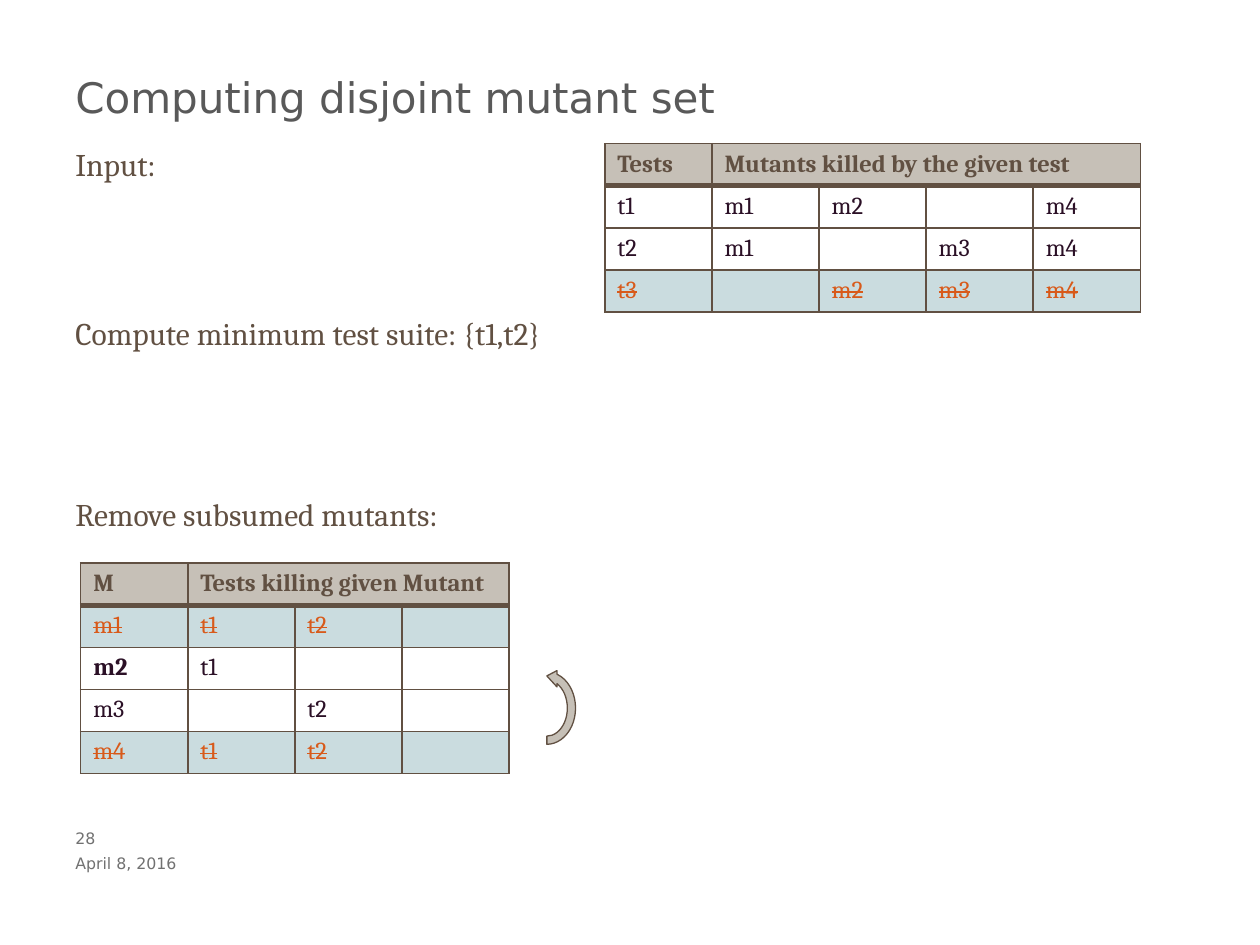
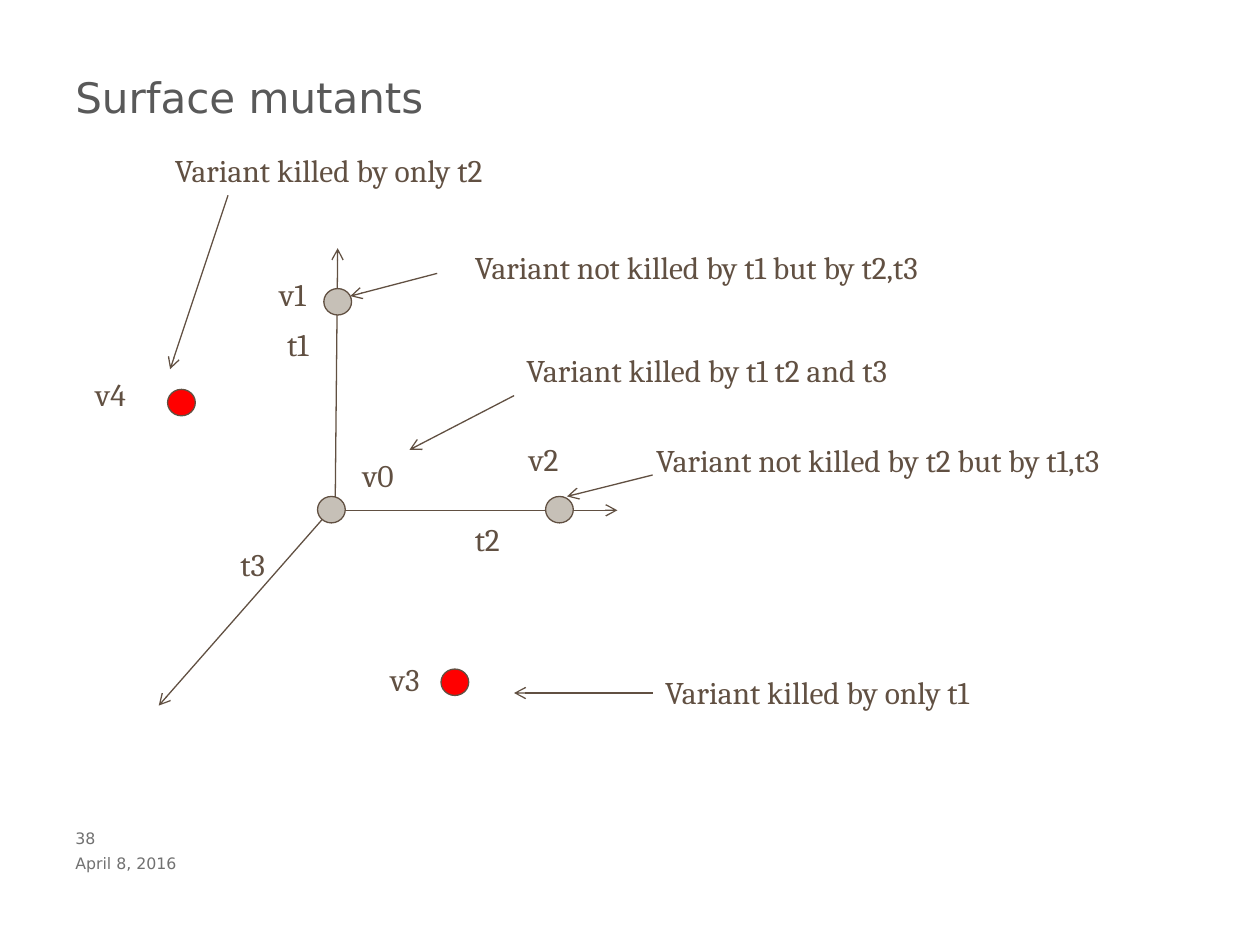
from typing import NamedTuple

from lxml.etree import SubElement
from pptx import Presentation
from pptx.dml.color import RGBColor
from pptx.enum.shapes import MSO_CONNECTOR, MSO_SHAPE
from pptx.enum.text import MSO_ANCHOR
from pptx.oxml.ns import qn
from pptx.util import Inches, Pt

SLIDE_WIDTH, SLIDE_HEIGHT = Inches(10), Inches(7.5)
GRID_COLUMNS, GRID_ROWS = 100, 75
LEFT_MARGIN = 5

BROWN, STONE, WHITE, RED = "615042", "C6C0B7", "FFFFFF", "FF0000"
TITLE_GRAY, FOOTER_GRAY = "595959", "717171"
CELL_TEXT, REMOVED_TEXT, REMOVED_FILL = "2B1026", "D85A1A", "CADCDF"
BODY_FONT, TITLE_FONT = "Cambria", "DejaVu Sans"

CELL_WIDTH, CELL_HEIGHT = 8.5, 10 / 3
DOT_WIDTH, DOT_HEIGHT = 2.2, 2.1


class TextStyle(NamedTuple):
    size: float
    font: str
    color: str
    bold: bool = False
    struck: bool = False


class Label(NamedTuple):
    text: str
    left: float
    top: float


class Dot(NamedTuple):
    left: float
    top: float
    fill: str = STONE


class Arrow(NamedTuple):
    start: tuple[float, float]
    end: tuple[float, float]


class KillRow(NamedTuple):
    cells: tuple[str, ...]
    removed: bool = False
    bold_first: bool = False


class KillTable(NamedTuple):
    left: float
    top: float
    columns: int
    header: tuple[str, str]
    rows: list[KillRow]


TITLE = TextStyle(24, TITLE_FONT, TITLE_GRAY)
FOOTER = TextStyle(9, TITLE_FONT, FOOTER_GRAY)
BODY = TextStyle(18, BODY_FONT, BROWN)
HEADER_CELL = TextStyle(14, BODY_FONT, BROWN, bold=True)
PLAIN_CELL = TextStyle(14, BODY_FONT, CELL_TEXT)
REMOVED_CELL = TextStyle(14, BODY_FONT, REMOVED_TEXT, struck=True)

STEPS = [
    Label("Input:", LEFT_MARGIN, 11),
    Label("Compute minimum test suite: {t1,t2}", LEFT_MARGIN, 24.4),
    Label("Remove subsumed mutants:", LEFT_MARGIN, 38.8),
]

MUTANTS_BY_TEST = KillTable(48, 11.4, 5, ("Tests", "Mutants killed by the given test"), [
    KillRow(("t1", "m1", "m2", "", "m4")),
    KillRow(("t2", "m1", "", "m3", "m4")),
    KillRow(("t3", "", "m2", "m3", "m4"), removed=True),
])

TESTS_BY_MUTANT = KillTable(6.4, 44.7, 4, ("M", "Tests killing given Mutant"), [
    KillRow(("m1", "t1", "t2", ""), removed=True),
    KillRow(("m2", "t1", "", ""), bold_first=True),
    KillRow(("m3", "", "t2", "")),
    KillRow(("m4", "t1", "t2", ""), removed=True),
])

TEST_AXES = [
    Arrow((26.6, 40.5), (26.8, 19.7)),
    Arrow((26.8, 40.5), (49, 40.5)),
    Arrow((25.6, 41.2), (12.6, 56)),
]
POINTERS = [
    Arrow((40.8, 31.4), (32.5, 35.7)),
    Arrow((34.7, 21.7), (27.8, 23.5)),
    Arrow((51.8, 37.7), (45, 39.4)),
    Arrow((51.8, 55), (40.8, 55)),
    Arrow((18.1, 15.5), (13.5, 29.3)),
]
VARIANT_DOTS = [
    Dot(25.2, 39.4),
    Dot(25.7, 22.9),
    Dot(43.3, 39.4),
    Dot(35, 53.1, RED),
    Dot(13.3, 30.9, RED),
]
SPACE_LABELS = [
    Label("t1", 21.8, 25.3),
    Label("t2", 36.7, 40.8),
    Label("t3", 18.1, 42.8),
    Label("v0", 27.8, 35.7),
    Label("v1", 21.2, 21.3),
    Label("v2", 41, 34.4),
    Label("v3", 30, 51.9),
    Label("v4", 6.6, 29.3),
    Label("Variant killed by t1 t2 and t3", 40.8, 27.4),
    Label("Variant not killed by t1 but by t2,t3", 36.7, 19.2),
    Label("Variant not killed by t2 but by t1,t3", 51.1, 34.5),
    Label("Variant killed by only t1", 51.8, 52.9),
    Label("Variant killed by only t2", 12.9, 11.5),
]


def across(columns: float) -> int:
    return round(SLIDE_WIDTH * columns / GRID_COLUMNS)


def down(rows: float) -> int:
    return round(SLIDE_HEIGHT * rows / GRID_ROWS)


def rgb(color: str) -> RGBColor:
    return RGBColor.from_string(color)


def write(paragraph, text: str, style: TextStyle) -> None:
    if not text:
        # An empty cell keeps the row height of its text size.
        SubElement(paragraph._p, qn("a:endParaRPr"), sz=str(style.size * 100))
        return
    run = paragraph.add_run()
    run.text = text
    run.font.size = Pt(style.size)
    run.font.name = style.font
    run.font.bold = style.bold
    run.font.color.rgb = rgb(style.color)
    if style.struck:
        run.font._element.set("strike", "sngStrike")


def add_text(slide, label: Label, width: float, height: float, style: TextStyle):
    box = slide.shapes.add_textbox(across(label.left), down(label.top), across(width), down(height))
    frame = box.text_frame
    frame.word_wrap = True
    write(frame.paragraphs[0], label.text, style)
    return frame


def add_labels(slide, labels: list[Label]) -> None:
    for label in labels:
        add_text(slide, label, 6 if len(label.text) == 2 else 45, 4, BODY)


def add_preset(slide, preset, left: float, top: float, width: float, height: float, fill: str):
    shape = slide.shapes.add_shape(preset, across(left), down(top), across(width), down(height))
    shape.shadow.inherit = False
    shape.fill.solid()
    shape.fill.fore_color.rgb = rgb(fill)
    shape.line.color.rgb = rgb(BROWN)
    shape.line.width = Pt(0.75)
    return shape


def add_arrow(slide, arrow: Arrow) -> None:
    (start_x, start_y), (end_x, end_y) = arrow
    connector = slide.shapes.add_connector(
        MSO_CONNECTOR.STRAIGHT, across(start_x), down(start_y), across(end_x), down(end_y))
    connector.line.color.rgb = rgb(BROWN)
    connector.line.width = Pt(0.75)
    SubElement(connector.line._ln, qn("a:tailEnd"), type="arrow")
    SubElement(connector._element.spPr, qn("a:effectLst"))


def style_cell(cell, fill: str, top_width: float, bottom_width: float) -> None:
    """Border the cell in brown, then fill it."""
    properties = cell._tc.get_or_add_tcPr()
    for side, width in (("L", 1), ("R", 1), ("T", top_width), ("B", bottom_width)):
        border = SubElement(properties, qn(f"a:ln{side}"), w=str(Pt(width)))
        SubElement(SubElement(border, qn("a:solidFill")), qn("a:srgbClr"), val=BROWN)
    cell.fill.solid()
    cell.fill.fore_color.rgb = rgb(fill)


def add_kill_table(slide, kill_table: KillTable) -> None:
    row_count = len(kill_table.rows) + 1
    table = slide.shapes.add_table(
        row_count, kill_table.columns, across(kill_table.left), down(kill_table.top),
        across(CELL_WIDTH * kill_table.columns), down(CELL_HEIGHT * row_count)).table
    table.first_row = table.horz_banding = False
    for column in table.columns:
        column.width = across(CELL_WIDTH)
    for row in table.rows:
        row.height = down(CELL_HEIGHT)

    for column in range(kill_table.columns):
        style_cell(table.cell(0, column), STONE, 1, 3)
    table.cell(0, 1).merge(table.cell(0, kill_table.columns - 1))
    for column, heading in enumerate(kill_table.header):
        write(table.cell(0, column).text_frame.paragraphs[0], heading, HEADER_CELL)

    for row_index, row in enumerate(kill_table.rows, start=1):
        style = REMOVED_CELL if row.removed else PLAIN_CELL
        fill = REMOVED_FILL if row.removed else WHITE
        for column, text in enumerate(row.cells):
            cell = table.cell(row_index, column)
            style_cell(cell, fill, 3 if row_index == 1 else 1, 1)
            bold = row.bold_first and column == 0
            write(cell.text_frame.paragraphs[0], text, style._replace(bold=bold))


def add_slide(presentation, title: str, number: str):
    """Add a blank slide with the shared title, number and date."""
    slide = presentation.slides.add_slide(presentation.slide_layouts[6])
    add_text(slide, Label(title, LEFT_MARGIN, 5.2), 90, 7.5, TITLE)
    for text, top, width in ((number, 65.5, 4), ("April 8, 2016", 67.5, 20)):
        frame = add_text(slide, Label(text, LEFT_MARGIN, top), width, 2, FOOTER)
        frame.margin_top = frame.margin_bottom = frame.margin_right = 0
        frame.vertical_anchor = MSO_ANCHOR.MIDDLE
    return slide


def build_disjoint_set_slide(presentation) -> None:
    slide = add_slide(presentation, "Computing disjoint mutant set", "28")
    add_labels(slide, STEPS)
    add_kill_table(slide, MUTANTS_BY_TEST)
    add_kill_table(slide, TESTS_BY_MUTANT)
    loop = add_preset(slide, MSO_SHAPE.CIRCULAR_ARROW, 40.2, 53.6, 6.4, 5.2, STONE)
    loop.rotation = 270
    loop._element.spPr.find(qn("a:xfrm")).set("flipV", "1")


def build_surface_slide(presentation) -> None:
    slide = add_slide(presentation, "Surface mutants", "38")
    for arrow in TEST_AXES + POINTERS:
        add_arrow(slide, arrow)
    for dot in VARIANT_DOTS:
        add_preset(slide, MSO_SHAPE.OVAL, dot.left, dot.top, DOT_WIDTH, DOT_HEIGHT, dot.fill)
    add_labels(slide, SPACE_LABELS)


def main() -> None:
    presentation = Presentation()
    presentation.slide_width, presentation.slide_height = SLIDE_WIDTH, SLIDE_HEIGHT
    build_disjoint_set_slide(presentation)
    build_surface_slide(presentation)
    presentation.save("out.pptx")


if __name__ == "__main__":
    main()
